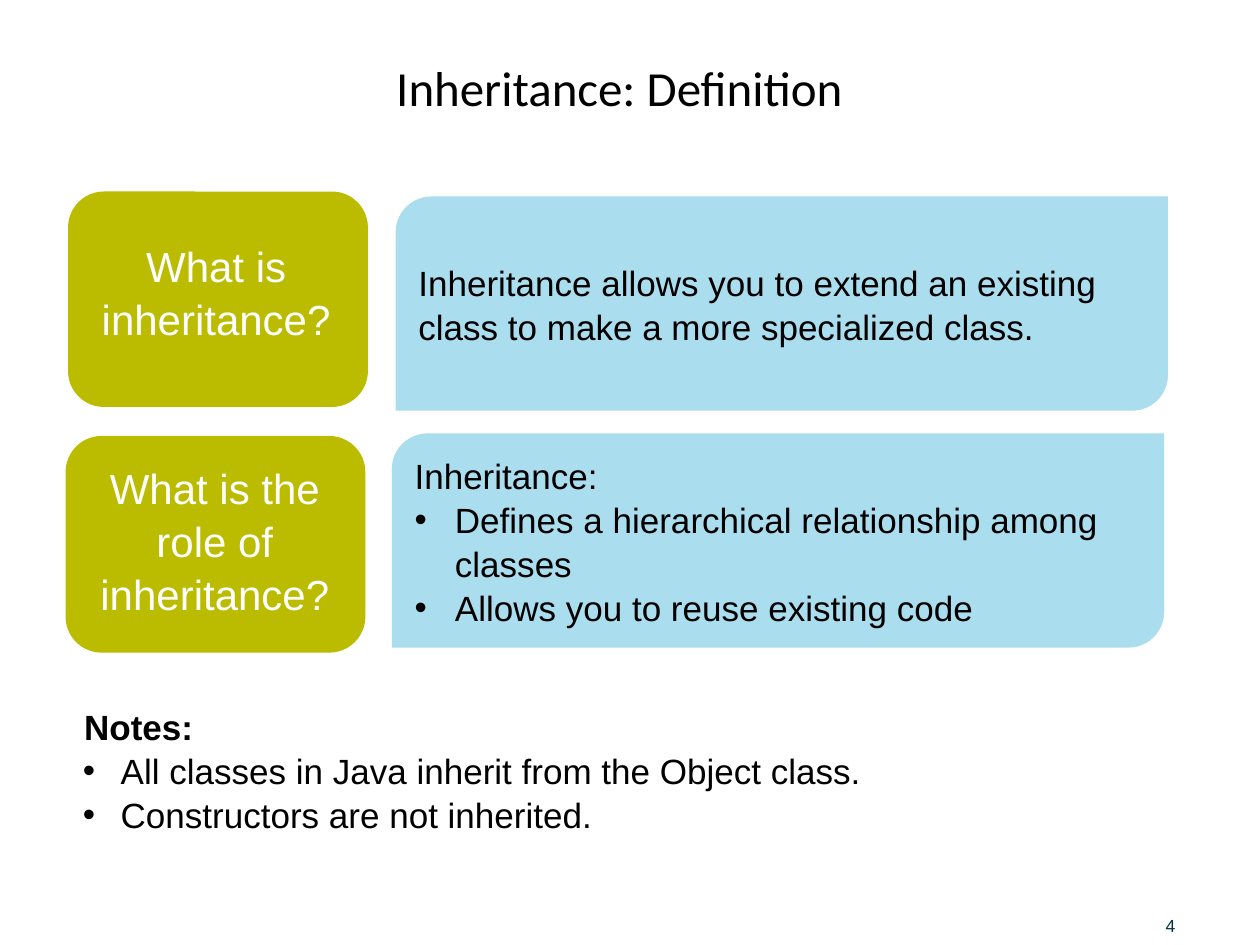
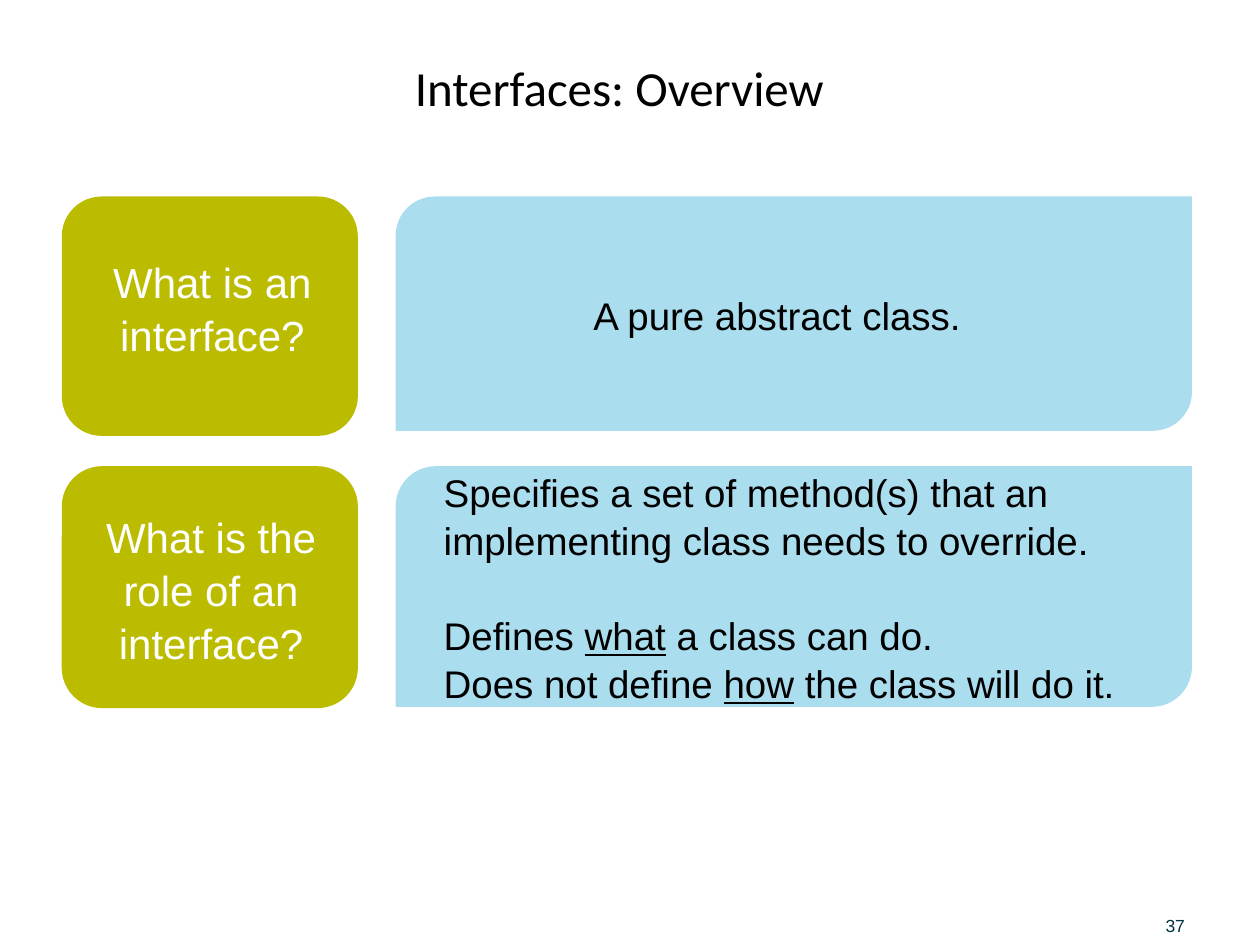
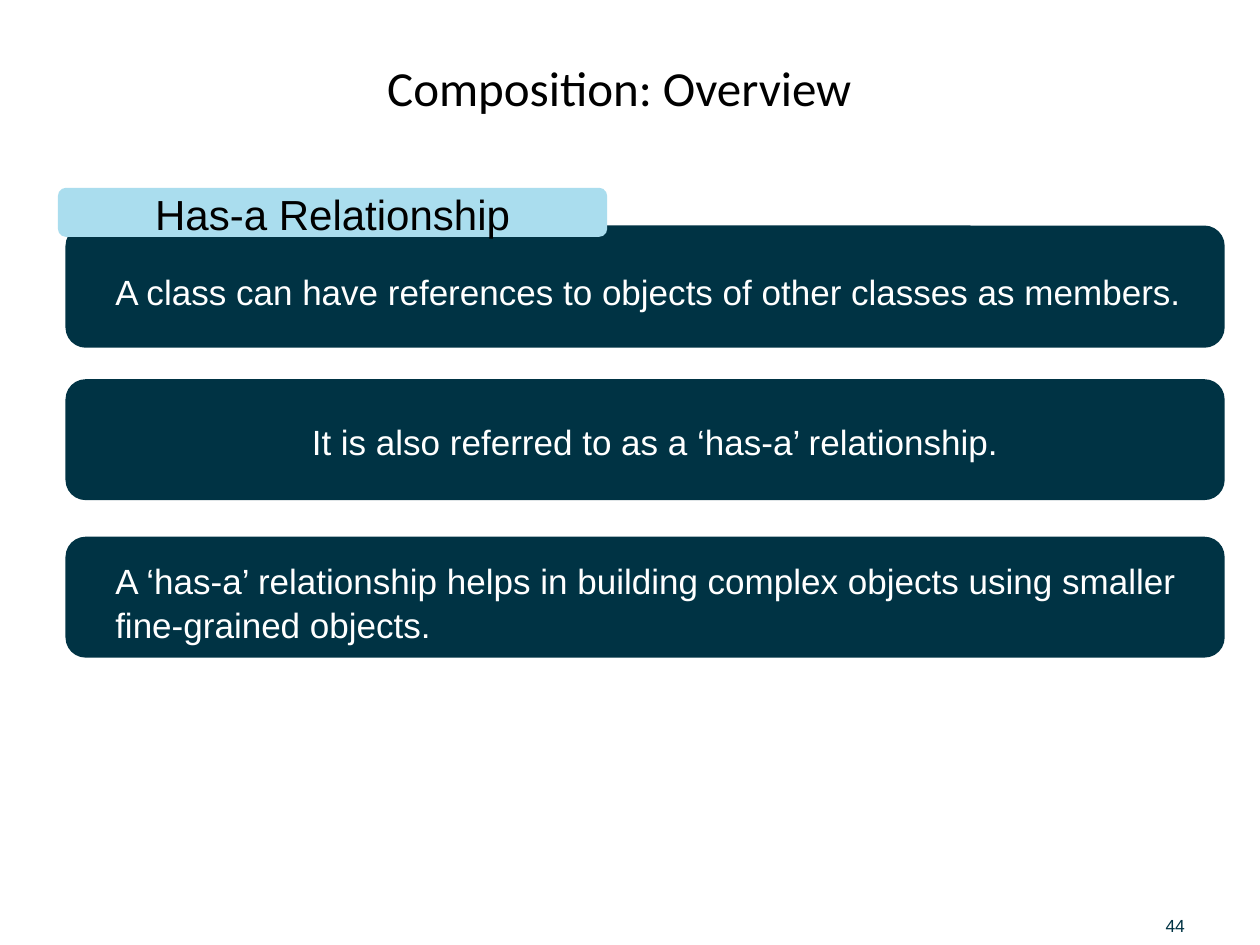
"""Build three slides on inheritance, interfaces and composition."""

from dataclasses import dataclass

from lxml.etree import SubElement
from pptx import Presentation
from pptx.dml.color import RGBColor
from pptx.enum.shapes import MSO_SHAPE
from pptx.enum.text import MSO_ANCHOR, PP_ALIGN
from pptx.oxml.ns import qn
from pptx.presentation import Presentation as Deck
from pptx.shapes.autoshape import Shape
from pptx.slide import Slide
from pptx.util import Emu, Pt

PX = 9144
BLACK = RGBColor(0x00, 0x00, 0x00)
WHITE = RGBColor(0xFF, 0xFF, 0xFF)
OLIVE = RGBColor(0xBB, 0xBB, 0x00)
SKY = RGBColor(0xAA, 0xDD, 0xEE)
NAVY = RGBColor(0x00, 0x33, 0x44)
BODY_FONT = "Arial"
TITLE_FONT = "Calibri"
LINE_SPACING = 1.05
INSET_X, INSET_Y = 10, 5


@dataclass(frozen=True)
class Box:
    left: int
    top: int
    width: int
    height: int

    def emu(self) -> tuple[Emu, Emu, Emu, Emu]:
        return px(self.left), px(self.top), px(self.width), px(self.height)


@dataclass(frozen=True)
class Run:
    text: str
    bold: bool = False
    underline: bool = False


@dataclass(frozen=True)
class Line:
    runs: tuple[Run, ...]
    indent: int = 0
    bullet: bool = False
    space_before: float = 0


@dataclass(frozen=True)
class Style:
    size: int
    color: RGBColor
    align: PP_ALIGN = PP_ALIGN.LEFT
    anchor: MSO_ANCHOR = MSO_ANCHOR.MIDDLE
    font: str = BODY_FONT


@dataclass(frozen=True)
class QuestionRow:
    card: Box
    label: Box
    answer: Box
    question: str
    lines: tuple[Line, ...]
    size: int


@dataclass(frozen=True)
class Band:
    top: int
    height: int
    line: Line
    bottom_inset: int = INSET_Y


TITLE_BOX = Box(50, 20, 883, 95)
NUMBER_BOX = Box(925, 715, 69, 28)
NOTES_BOX = Box(56, 553, 864, 111)
TAG_BOX = Box(46, 149, 436, 39)
BAND_LEFT, BAND_WIDTH = 52, 920

TITLE_STYLE = Style(28, BLACK, PP_ALIGN.CENTER, font=TITLE_FONT)
NUMBER_STYLE = Style(10, NAVY, anchor=MSO_ANCHOR.BOTTOM)
QUESTION_STYLE = Style(24, WHITE, PP_ALIGN.CENTER, MSO_ANCHOR.TOP)
NOTES_STYLE = Style(20, BLACK, anchor=MSO_ANCHOR.TOP)
TAG_STYLE = Style(24, BLACK, PP_ALIGN.CENTER)
BAND_STYLE = Style(20, WHITE, anchor=MSO_ANCHOR.BOTTOM)


def px(length: int) -> Emu:
    """Turn px into EMU."""
    return Emu(length * PX)


def plain(text: str, indent: int = 0, bullet: bool = False) -> Line:
    """Make a line of a single run."""
    return Line((Run(text),), indent, bullet)


INHERITANCE_ROWS = (
    QuestionRow(
        Box(54, 152, 238, 171), Box(62, 184, 219, 91), Box(314, 156, 613, 170),
        "What is inheritance?",
        (plain("Inheritance allows you to extend an existing class to make a more specialized class."),),
        20,
    ),
    QuestionRow(
        Box(52, 346, 238, 172), Box(61, 360, 219, 131), Box(311, 344, 613, 170),
        "What is the role of inheritance?",
        (
            plain("Inheritance:"),
            plain("Defines a hierarchical relationship among classes", 32, True),
            plain("Allows you to reuse existing code", 32, True),
        ),
        20,
    ),
)
INHERITANCE_NOTES = (
    Line((Run("Notes:", bold=True),), indent=1),
    plain("All classes in Java inherit from the Object class.", 30, True),
    plain("Constructors are not inherited.", 30, True),
)
INTERFACE_ROWS = (
    QuestionRow(
        Box(49, 156, 235, 190), Box(59, 197, 219, 91), Box(314, 156, 632, 186),
        "What is an interface?",
        (plain("A pure abstract class.", 138),),
        22,
    ),
    QuestionRow(
        Box(49, 370, 235, 192), Box(58, 399, 219, 131), Box(314, 370, 632, 191),
        "What is the role of an interface?",
        (
            plain("Specifies a set of method(s) that an implementing class needs to override.", 19),
            Line(
                (Run("Defines "), Run("what", underline=True), Run(" a class can do.")),
                indent=19, space_before=26.5,
            ),
            Line(
                (Run("Does not define "), Run("how", underline=True), Run(" the class will do it.")),
                indent=19,
            ),
        ),
        22,
    ),
)
COMPOSITION_BANDS = (
    Band(179, 97, plain("A class can have references to objects of other classes as members.", 25), 23),
    Band(301, 96, plain("It is also referred to as a ‘has-a’ relationship.", 181), 25),
    Band(426, 96, plain(
        "A ‘has-a’ relationship helps in building complex objects using smaller fine-grained objects.", 25)),
)


def write(shape: Shape, lines: tuple[Line, ...], style: Style,
          inset_x: int = INSET_X, inset_y: int = INSET_Y, bottom: int | None = None) -> None:
    """Fill a shape with styled lines."""
    frame = shape.text_frame
    frame.word_wrap = True
    frame.vertical_anchor = style.anchor
    frame.margin_left = frame.margin_right = px(inset_x)
    frame.margin_top = px(inset_y)
    frame.margin_bottom = px(inset_y if bottom is None else bottom)
    for index, line in enumerate(lines):
        paragraph = frame.add_paragraph() if index else frame.paragraphs[0]
        properties = paragraph._p.get_or_add_pPr()
        properties.set("marL", str(px(line.indent)))
        properties.set("indent", str(px(-line.indent if line.bullet else 0)))
        if line.bullet:
            SubElement(properties, qn("a:buFont"), typeface=BODY_FONT)
            SubElement(properties, qn("a:buChar"), char="•")
        paragraph.alignment = style.align
        paragraph.line_spacing = LINE_SPACING
        if line.space_before:
            paragraph.space_before = Pt(line.space_before)
        for piece in line.runs:
            run = paragraph.add_run()
            run.text = piece.text
            run.font.name = style.font
            run.font.size = Pt(style.size)
            run.font.color.rgb = style.color
            run.font.bold = piece.bold
            run.font.underline = piece.underline


def add_text(slide: Slide, box: Box, lines: tuple[Line, ...], style: Style,
             inset_x: int = INSET_X, inset_y: int = INSET_Y) -> None:
    """Add a text box."""
    write(slide.shapes.add_textbox(*box.emu()), lines, style, inset_x, inset_y)


def add_panel(slide: Slide, kind: MSO_SHAPE, box: Box, fill: RGBColor) -> Shape:
    """Add a flat filled shape without outline."""
    shape = slide.shapes.add_shape(kind, *box.emu())
    shape.shadow.inherit = False
    shape.fill.solid()
    shape.fill.fore_color.rgb = fill
    shape.line.fill.background()
    return shape


def add_slide(presentation: Deck, title: str, number: int) -> Slide:
    """Add a blank slide with title and page number."""
    slide = presentation.slides.add_slide(presentation.slide_layouts[6])
    add_text(slide, TITLE_BOX, (plain(title),), TITLE_STYLE)
    add_text(slide, NUMBER_BOX, (plain(str(number)),), NUMBER_STYLE, 0, 0)
    return slide


def add_question_row(slide: Slide, row: QuestionRow) -> None:
    """Add a question card and its answer panel."""
    add_panel(slide, MSO_SHAPE.ROUNDED_RECTANGLE, row.card, OLIVE)
    add_text(slide, row.label, (plain(row.question),), QUESTION_STYLE)
    answer = add_panel(slide, MSO_SHAPE.ROUND_2_DIAG_RECTANGLE, row.answer, SKY)
    write(answer, row.lines, Style(row.size, BLACK))


def add_band(slide: Slide, band: Band) -> None:
    """Add a full-width statement band."""
    box = Box(BAND_LEFT, band.top, BAND_WIDTH, band.height)
    shape = add_panel(slide, MSO_SHAPE.ROUNDED_RECTANGLE, box, NAVY)
    write(shape, (band.line,), BAND_STYLE, bottom=band.bottom_inset)


def main() -> None:
    """Build and save the presentation."""
    presentation = Presentation()
    presentation.slide_width, presentation.slide_height = px(1000), px(750)

    inheritance = add_slide(presentation, "Inheritance: Definition", 4)
    for row in INHERITANCE_ROWS:
        add_question_row(inheritance, row)
    add_text(inheritance, NOTES_BOX, INHERITANCE_NOTES, NOTES_STYLE)

    interfaces = add_slide(presentation, "Interfaces: Overview", 37)
    for row in INTERFACE_ROWS:
        add_question_row(interfaces, row)

    composition = add_slide(presentation, "Composition: Overview", 44)
    for band in COMPOSITION_BANDS:
        add_band(composition, band)
    tag = add_panel(composition, MSO_SHAPE.ROUNDED_RECTANGLE, TAG_BOX, SKY)
    write(tag, (plain("Has-a Relationship"),), TAG_STYLE)

    presentation.save("out.pptx")


if __name__ == "__main__":
    main()
